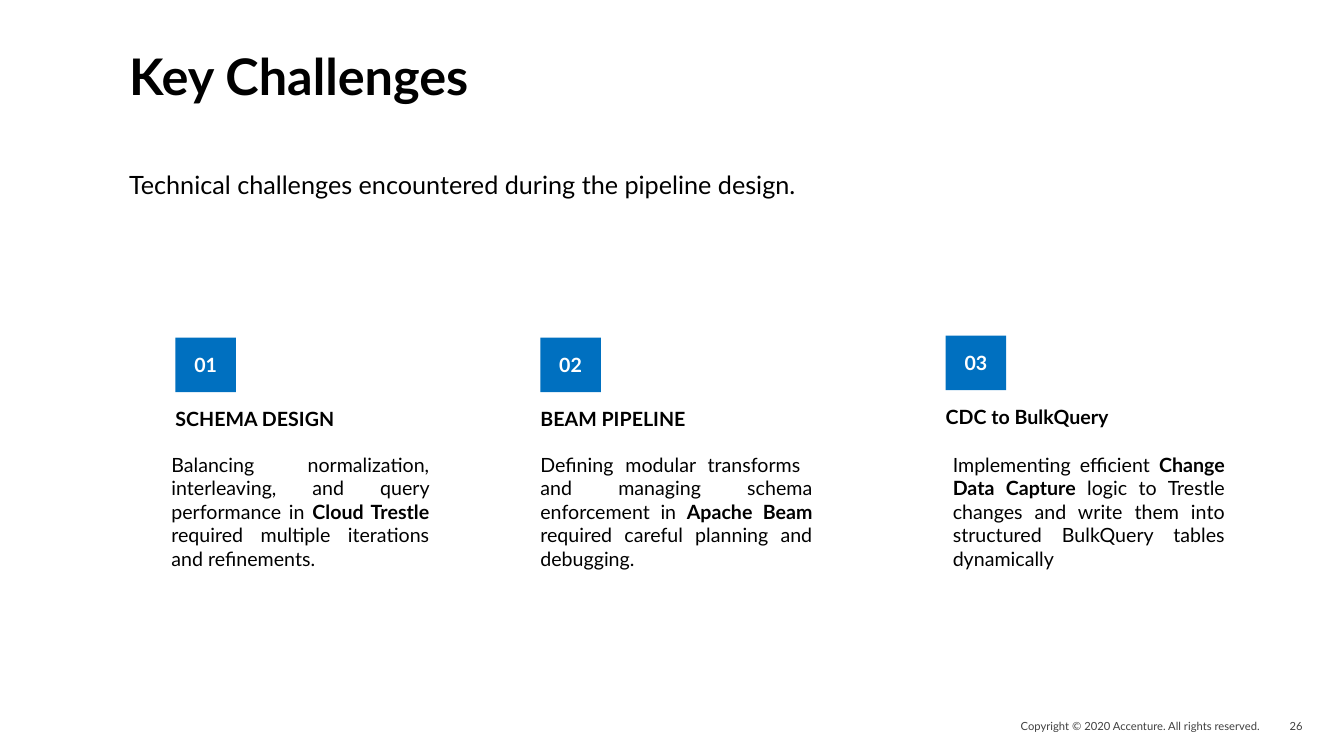
from pptx import Presentation
from pptx.dml.color import RGBColor
from pptx.enum.shapes import MSO_SHAPE
from pptx.enum.text import MSO_ANCHOR, MSO_AUTO_SIZE, PP_ALIGN
from pptx.oxml import parse_xml
from pptx.oxml.ns import nsdecls
from pptx.util import Inches, Pt


def color(hex_code):
    return RGBColor.from_string(hex_code)


def write(box, runs, size, ink="000000", align=PP_ALIGN.LEFT,
          anchor=MSO_ANCHOR.TOP, inset=0, line_spacing=1.0):
    """Fill one paragraph with (text, bold) runs; "\n" is a line break."""
    frame = box.text_frame
    frame.word_wrap = True
    frame.auto_size = MSO_AUTO_SIZE.NONE
    frame.vertical_anchor = anchor
    frame.margin_left = frame.margin_right = Inches(inset)
    frame.margin_top = frame.margin_bottom = Inches(inset)
    paragraph = frame.paragraphs[0]
    paragraph.alignment = align
    paragraph.line_spacing = line_spacing
    paragraph.space_before = paragraph.space_after = Pt(0)
    for text, bold in runs:
        if text == "\n":
            paragraph.add_line_break()
            continue
        run = paragraph.add_run()
        run.text = text
        run.font.name = "Lato"
        run.font.size = Pt(size)
        run.font.bold = bold
        run.font.color.rgb = color(ink)
    return paragraph


presentation = Presentation()
presentation.slide_width = Inches(13.33)
presentation.slide_height = Inches(7.5)
slide = presentation.slides.add_slide(presentation.slide_layouts[1])
shapes = slide.shapes

# Title and lead sentence
title = shapes.title
title.left, title.top = Inches(1.28), Inches(0.56)
title.width, title.height = Inches(5.44), Inches(1.08)
write(title, [("Key Challenges", True)], 36, line_spacing=0.8)

lead = slide.placeholders[1]
lead.left, lead.top = Inches(1.28), Inches(1.68)
lead.width, lead.height = Inches(9.52), Inches(0.62)
lead_line = write(
    lead, [("Technical challenges encountered during the pipeline design.", False)], 18)
lead_properties = lead_line._p.get_or_add_pPr()
lead_properties.set("marL", "0")
lead_properties.set("indent", "0")
lead_properties.append(parse_xml(f"<a:buNone {nsdecls('a')}/>"))

# Challenges: column left, badge top, heading, heading width,
# description left, description width, description runs
challenges = [
    (1.74, 3.35, "SCHEMA DESIGN", 1.98, 1.7, 2.56, [
        ("Balancing normalization, interleaving, and query performance in ", False),
        ("Cloud Trestle", True),
        (" required multiple iterations and refinements.", False)]),
    (5.36, 3.35, "BEAM PIPELINE", 2.38, 5.36, 2.7, [
        ("Defining modular transforms ", False),
        ("\n", False),
        ("and managing schema enforcement in ", False),
        ("Apache Beam", True),
        (" required careful planning and debugging.", False)]),
    (9.38, 3.33, "CDC to BulkQuery", 3.8, 9.45, 2.7, [
        ("Implementing efficient ", False),
        ("Change Data Capture ", True),
        ("logic to Trestle changes and write them into structured "
         "BulkQuery tables dynamically", False)]),
]
HEADING_DROP = 0.69
DESCRIPTION_TOP = 4.49

for number, (left, top, name, name_width, about_left, about_width, about) in enumerate(
        challenges, start=1):
    badge = shapes.add_shape(MSO_SHAPE.RECTANGLE, Inches(left), Inches(top),
                             Inches(0.6), Inches(0.54))
    badge.shadow.inherit = False
    badge.fill.solid()
    badge.fill.fore_color.rgb = color("0070C0")
    badge.line.fill.background()
    write(badge, [(f"{number:02d}", True)], 14, "FFFFFF", PP_ALIGN.CENTER,
          MSO_ANCHOR.MIDDLE, inset=0.1)

    heading = shapes.add_textbox(Inches(left), Inches(top + HEADING_DROP),
                                 Inches(name_width), Inches(0.29))
    write(heading, [(name, True)], 14)

    description = shapes.add_textbox(Inches(about_left), Inches(DESCRIPTION_TOP),
                                     Inches(about_width), Inches(1.37))
    write(description, about, 14, align=PP_ALIGN.JUSTIFY)

# Footer: copyright line and page number
for left, width, text in [
        (9.1, 3.4, "Copyright © 2020 Accenture. All rights reserved."),
        (12.5, 0.42, "26")]:
    footer = shapes.add_textbox(Inches(left), Inches(7.09), Inches(width), Inches(0.22))
    write(footer, [(text, False)], 8, "404040", PP_ALIGN.RIGHT, MSO_ANCHOR.MIDDLE)

presentation.save("out.pptx")
